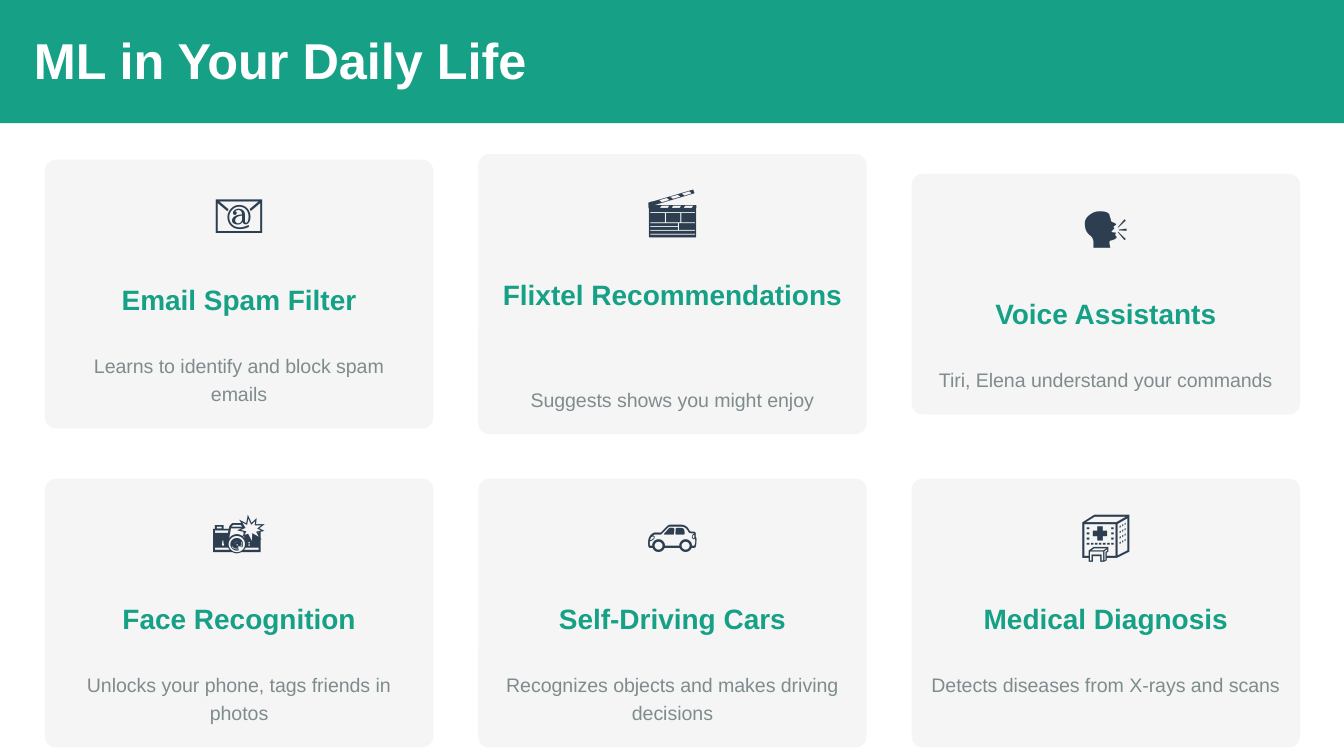
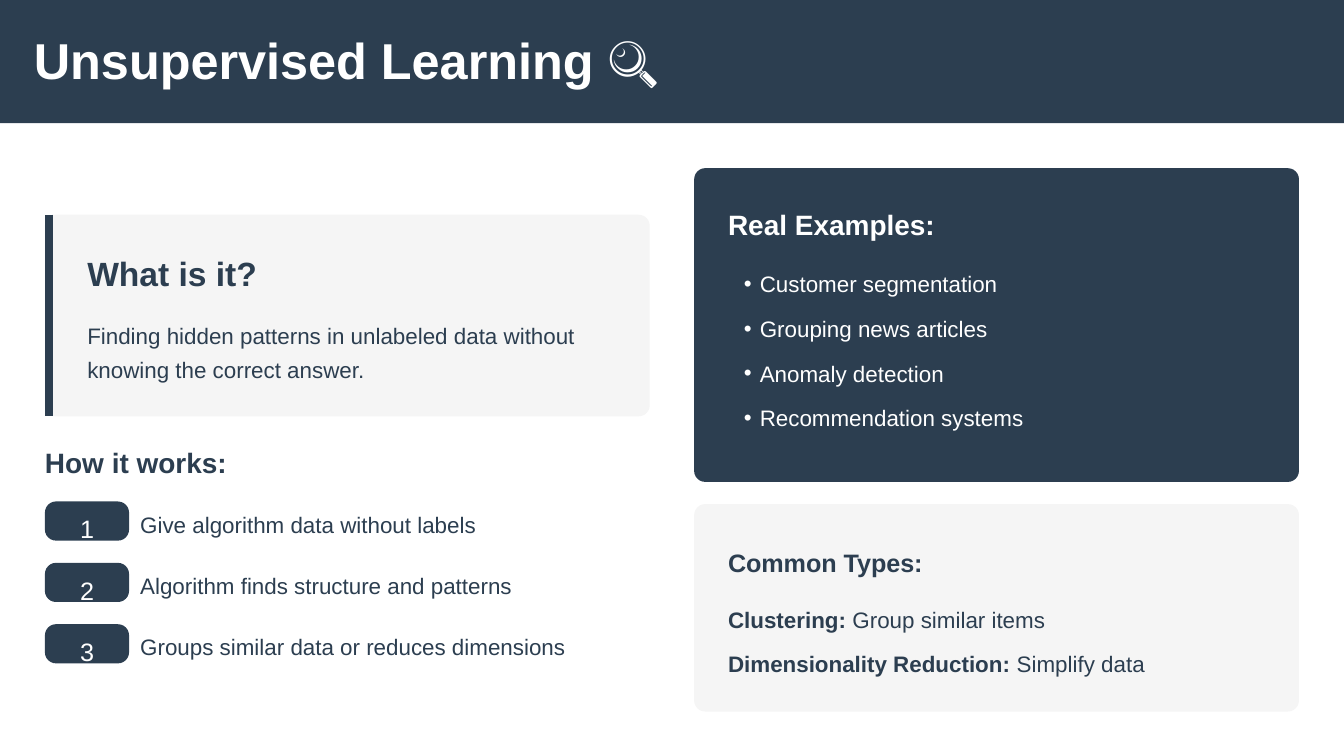
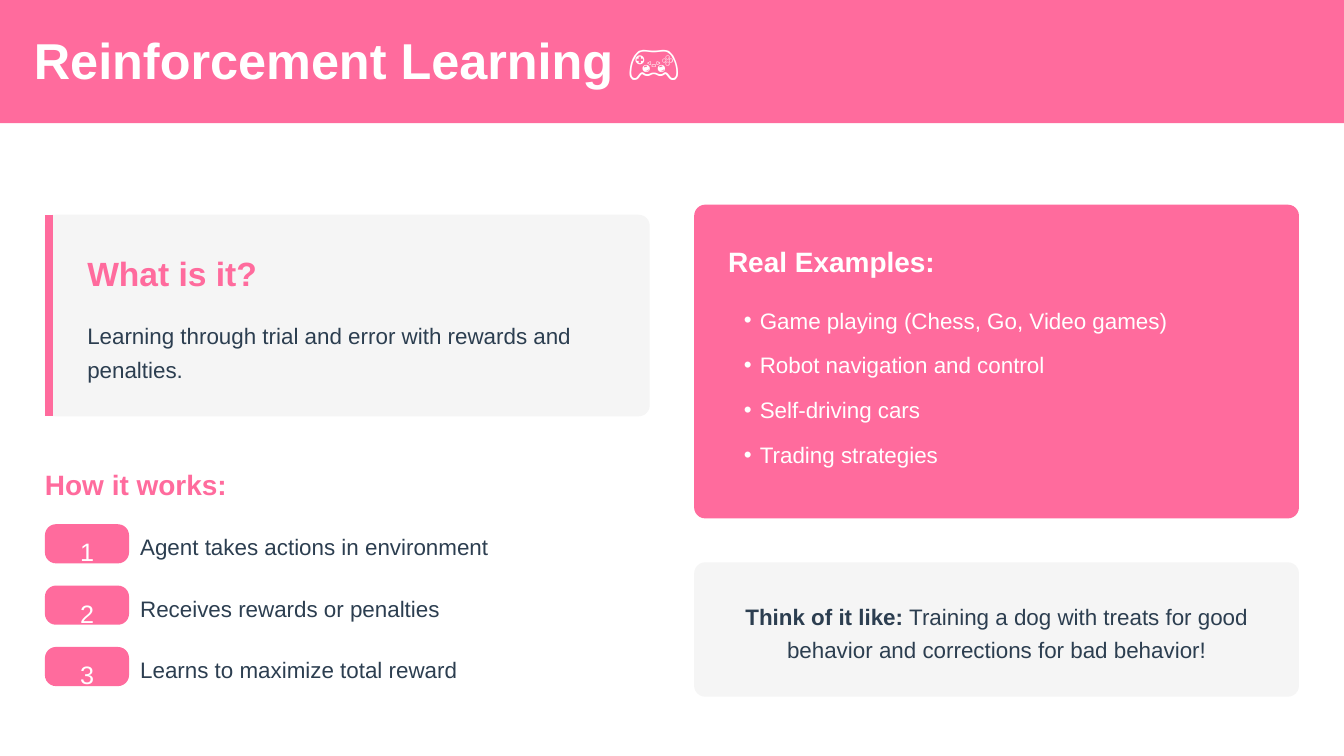
"""Build three slides on machine learning in daily life and two kinds of learning."""
from lxml import etree
from pptx import Presentation
from pptx.dml.color import RGBColor
from pptx.enum import shapes, text
from pptx.oxml import ns
from pptx.util import Cm, Pt

COLOURS = {
    "green": "16A085",
    "navy": "2C3E50",
    "pink": "FF6B9D",
    "panel": "F5F5F5",
    "grey": "7F8C8D",
    "white": "FFFFFF",
}
FONT = "Arial"
LEFT, CENTRE = text.PP_ALIGN.LEFT, text.PP_ALIGN.CENTER

DAILY_TITLE = "ML in Your Daily Life"
# Each card: icon, heading, description, heading lines, description lines.
CARD_ROWS = [
    (5.56, [
        ("📧", "Email Spam Filter", "Learns to identify and block spam emails", 1, 2),
        ("🎬", "Flixtel Recommendations", "Suggests shows you might enjoy", 2, 1),
        ("🗣️", "Voice Assistants", "Tiri, Elena understand your commands", 1, 1),
    ]),
    (11.59, [
        ("📸", "Face Recognition", "Unlocks your phone, tags friends in photos", 1, 2),
        ("🚗", "Self-Driving Cars", "Recognizes objects and makes driving decisions", 1, 2),
        ("🏥", "Medical Diagnosis", "Detects diseases from X-rays and scans", 1, 2),
    ]),
]
LEARNING = [
    {
        "title": "Unsupervised Learning 🔍",
        "accent": "navy",
        "definition": "Finding hidden patterns in unlabeled data without knowing the correct answer.",
        "steps": [
            "Give algorithm data without labels",
            "Algorithm finds structure and patterns",
            "Groups similar data or reduces dimensions",
        ],
        "examples": [
            "Customer segmentation",
            "Grouping news articles",
            "Anomaly detection",
            "Recommendation systems",
        ],
        "types": [
            ("Clustering:", " Group similar items"),
            ("Dimensionality Reduction:", " Simplify data"),
        ],
        "steps_top": 8.31, "examples_top": 3.18, "note_top": 9.53, "note_height": 3.92,
    },
    {
        "title": "Reinforcement Learning 🎮",
        "accent": "pink",
        "definition": "Learning through trial and error with rewards and penalties.",
        "steps": [
            "Agent takes actions in environment",
            "Receives rewards or penalties",
            "Learns to maximize total reward",
        ],
        "examples": [
            "Game playing (Chess, Go, Video games)",
            "Robot navigation and control",
            "Self-driving cars",
            "Trading strategies",
        ],
        "analogy": (
            "Think of it like:",
            " Training a dog with treats for good behavior and corrections for bad behavior!",
        ),
        "steps_top": 8.74, "examples_top": 3.87, "note_top": 10.63, "note_height": 2.54,
    },
]

PAGE_WIDTH, PAGE_HEIGHT = 25.4, 14.29
LEFT_X, RIGHT_X, COLUMN_WIDTH = 0.85, 13.12, 11.43
CARD_WIDTH, CARD_STEP, CARD_TEXT_WIDTH = 7.34, 8.19, 6.63
PADDING, RADIUS = 0.64, 0.21
STEP_GAP, TYPE_GAP, INDENT = 1.16, 0.84, 0.3


def rgb(name):
    return RGBColor.from_string(COLOURS[name])


def add_bullet(para):
    properties = para._p.get_or_add_pPr()
    properties.set("marL", str(Cm(INDENT)))
    properties.set("indent", str(-Cm(INDENT)))
    bullet = etree.SubElement(properties, ns.qn("a:buChar"))
    bullet.set("char", "•")


def write(shape, paras, size, leading, colour, bold=False, align=LEFT, bullets=False):
    """Fill a shape with paragraphs, each a string or a (bold label, text) pair."""
    frame = shape.text_frame
    frame.word_wrap = True
    frame.auto_size = text.MSO_AUTO_SIZE.NONE
    frame.vertical_anchor = text.MSO_ANCHOR.TOP
    frame.margin_left = Cm(INDENT) if bullets else 0
    frame.margin_top = frame.margin_right = frame.margin_bottom = 0
    for index, content in enumerate(paras):
        para = frame.paragraphs[0] if index == 0 else frame.add_paragraph()
        para.alignment = align
        para.line_spacing = Pt(leading)
        para.space_before = Pt(0)
        if bullets:
            para.space_after = Pt(6)
            add_bullet(para)
        spans = [(content, bold)] if isinstance(content, str) else zip(content, (True, False))
        for words, heavy in spans:
            span = para.add_run()
            span.text = words
            span.font.name = FONT
            span.font.size = Pt(size)
            span.font.bold = heavy
            span.font.color.rgb = rgb(colour)


def add_text(page, left, top, width, height, content, *style, **options):
    box = page.shapes.add_textbox(Cm(left), Cm(top), Cm(width), Cm(height))
    write(box, [content], *style, **options)


def add_panel(page, left, top, width, height, colour, rounded=True):
    kind = shapes.MSO_SHAPE.ROUNDED_RECTANGLE if rounded else shapes.MSO_SHAPE.RECTANGLE
    panel = page.shapes.add_shape(kind, Cm(left), Cm(top), Cm(width), Cm(height))
    if rounded:
        panel.adjustments[0] = RADIUS / min(width, height)
    panel.shadow.inherit = False
    panel.fill.solid()
    panel.fill.fore_color.rgb = rgb(colour)
    panel.line.fill.background()
    return panel


def place(page, holder, left, top, width, height):
    """Move a placeholder into position, in front of what is already drawn."""
    holder.left, holder.top, holder.width, holder.height = map(Cm, (left, top, width, height))
    page.shapes._spTree.append(holder._element)


def start_page(deck, layout, title, colour):
    page = deck.slides.add_slide(deck.slide_layouts[layout])
    add_panel(page, 0, 0, PAGE_WIDTH, 2.33, colour, rounded=False)
    place(page, page.shapes.title, 0.64, 0.64, 12.5, 1.06)
    write(page.shapes.title, [title], 27, 30, "white", bold=True)
    return page


def add_card(page, left, middle, card):
    icon, heading, description, heading_lines, description_lines = card
    heading_height, description_height = 0.74 * heading_lines, 0.53 * description_lines
    height = 3.28 + heading_height + description_height
    top = middle - height / 2
    text_left = left + (CARD_WIDTH - CARD_TEXT_WIDTH) / 2
    add_panel(page, left, top, CARD_WIDTH, height, "panel")
    add_text(page, left + (CARD_WIDTH - 1.22) / 2, top + 0.53, 1.22, 1.06,
             icon, 27, 30, "navy", align=CENTRE)
    add_text(page, text_left, top + 2.22, CARD_TEXT_WIDTH, heading_height,
             heading, 15, 21, "green", bold=True, align=CENTRE)
    add_text(page, text_left, top + 2.85 + heading_height, CARD_TEXT_WIDTH, description_height,
             description, 10.5, 15, "grey", align=CENTRE)


def build_daily_life(deck):
    page = start_page(deck, 5, DAILY_TITLE, "green")
    for middle, cards in CARD_ROWS:
        for column, card in enumerate(cards):
            add_card(page, LEFT_X + column * CARD_STEP, middle, card)


def add_definition(page, topic):
    top, height = 4.06, 3.81
    add_panel(page, LEFT_X, top, COLUMN_WIDTH, height, "panel")
    edge = Cm(LEFT_X + 0.08)
    accent = page.shapes.add_connector(
        shapes.MSO_CONNECTOR.STRAIGHT, edge, Cm(top), edge, Cm(top + height))
    accent.line.color.rgb = rgb(topic["accent"])
    accent.line.width = Pt(4.5)
    etree.SubElement(accent._element.spPr, ns.qn("a:effectLst"))
    add_text(page, 1.65, top + PADDING, 10.21, 0.85, "What is it?", 18, 24, topic["accent"], bold=True)
    add_text(page, 1.65, top + 1.91, 10.21, 1.27, topic["definition"], 12, 18, "navy")


def add_steps(page, topic):
    top = topic["steps_top"]
    add_text(page, LEFT_X, top, 11.66, 0.74, "How it works:", 15, 21, topic["accent"], bold=True)
    for number, step in enumerate(topic["steps"], 1):
        step_top = top + 1.17 + (number - 1) * STEP_GAP
        badge = add_panel(page, LEFT_X, step_top, 1.59, 0.74, topic["accent"])
        write(badge, [str(number)], 13.5, 21, "white", align=CENTRE)
        add_text(page, 2.65, step_top + 0.05, 9.83, 0.64, step, 12, 18, "navy")


def add_examples(page, topic):
    top, left = topic["examples_top"], RIGHT_X + PADDING
    add_panel(page, RIGHT_X, top, COLUMN_WIDTH, 5.93, topic["accent"])
    add_text(page, left, top + PADDING, 10.37, 0.74, "Real Examples:", 15, 21, "white", bold=True)
    body = page.placeholders[1]
    place(page, body, left, top + 1.8, 10.16, 3.51)
    write(body, topic["examples"], 12, 18, "white", bullets=True)


def add_note(page, topic):
    top, left = topic["note_top"], RIGHT_X + PADDING
    add_panel(page, RIGHT_X, top, COLUMN_WIDTH, topic["note_height"], "panel")
    if "analogy" in topic:
        add_text(page, RIGHT_X + 0.54, top + PADDING, 10.36, 1.27,
                 topic["analogy"], 12, 18, "navy", align=CENTRE)
        return
    add_text(page, left, top + PADDING, 10.37, 0.74, "Common Types:", 13.5, 21, "navy", bold=True)
    for row, kind in enumerate(topic["types"]):
        add_text(page, left, top + 1.8 + row * TYPE_GAP, 10.37, 0.64, kind, 12, 18, "navy")


def build_learning(deck, topic):
    page = start_page(deck, 1, topic["title"], topic["accent"])
    for add_part in (add_definition, add_steps, add_examples, add_note):
        add_part(page, topic)


def main():
    deck = Presentation()
    deck.slide_width, deck.slide_height = Cm(PAGE_WIDTH), Cm(PAGE_HEIGHT)
    build_daily_life(deck)
    for topic in LEARNING:
        build_learning(deck, topic)
    deck.save("out.pptx")


if __name__ == "__main__":
    main()
